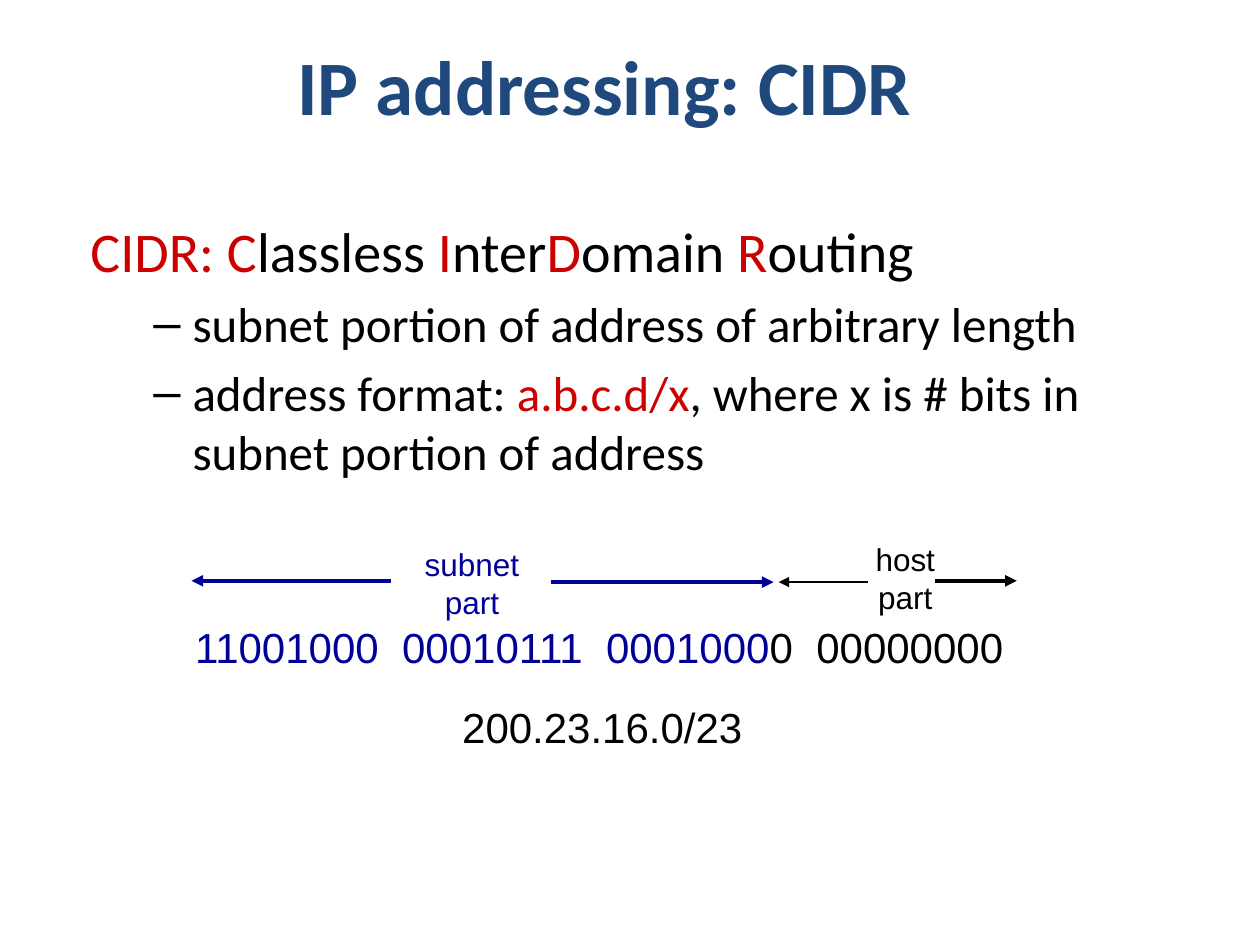
from lxml import etree
from pptx import Presentation
from pptx.dml.color import RGBColor
from pptx.enum.shapes import MSO_CONNECTOR
from pptx.enum.text import MSO_ANCHOR, PP_ALIGN
from pptx.oxml.ns import qn
from pptx.util import Inches, Pt

LEFT, CENTER = PP_ALIGN.LEFT, PP_ALIGN.CENTER
TOP, MIDDLE = MSO_ANCHOR.TOP, MSO_ANCHOR.MIDDLE
STRAIGHT = MSO_CONNECTOR.STRAIGHT
BLACK = RGBColor(0x00, 0x00, 0x00)
RED = RGBColor(0xCC, 0x00, 0x00)
BLUE = RGBColor(0x00, 0x00, 0x99)
NAVY = RGBColor(0x1F, 0x49, 0x7D)


def add_frame(slide, box, wrap=False, anchor=TOP):
    """Add an empty text box and return its frame."""
    frame = slide.shapes.add_textbox(*map(Inches, box)).text_frame
    frame.word_wrap = wrap
    frame.vertical_anchor = anchor
    return frame


def add_runs(para, runs, size, font="Arial", bold=False):
    """Add coloured runs to a paragraph."""
    for text, color in runs:
        run = para.add_run()
        run.text = text
        run.font.name = font
        run.font.size = Pt(size)
        run.font.bold = bold
        run.font.color.rgb = color


def add_label(slide, box, lines, size, align=LEFT):
    """Add an unwrapped label, one paragraph for each list of runs."""
    frame = add_frame(slide, box)
    for i, runs in enumerate(lines):
        para = frame.add_paragraph() if i else frame.paragraphs[0]
        para.alignment = align
        add_runs(para, runs, size)


def set_indent(para, margin, hang, bullet=None):
    """Set a hanging indent and, if given, a bullet sign."""
    props = para._p.get_or_add_pPr()
    props.set("marL", str(Inches(margin)))
    props.set("indent", str(-Inches(hang)))
    if bullet:
        font = etree.SubElement(props, qn("a:buFont"))
        font.set("typeface", "Arial")
        etree.SubElement(props, qn("a:buChar")).set("char", bullet)


def add_title(slide):
    """Add the slide heading."""
    para = add_frame(slide, (0.55, 0.21, 8.5, 0.93), True, MIDDLE).paragraphs[0]
    para.alignment = CENTER
    add_runs(para, [("IP addressing: CIDR", NAVY)], 44, "Calibri", True)


def add_body(slide):
    """Add the definition and its bulleted points."""
    frame = add_frame(slide, (0.62, 1.67, 8.87, 3.47), True)
    head = frame.paragraphs[0]
    head.space_before = Pt(6.4)
    set_indent(head, 0.38, 0.38)
    add_runs(head, [
        ("CIDR: C", RED), ("lassless ", BLACK), ("I", RED), ("nter", BLACK),
        ("D", RED), ("omain ", BLACK), ("R", RED), ("outing", BLACK),
    ], 32, "Calibri")
    points = [
        [("subnet portion of address of arbitrary length", BLACK)],
        [("address format: ", BLACK), ("a.b.c.d/x", RED),
         (", where x is # bits in subnet portion of address", BLACK)],
    ]
    for runs in points:
        para = frame.add_paragraph()
        para.level = 1
        para.space_before = Pt(5.6)
        set_indent(para, 0.81, 0.31, "–")
        add_runs(para, runs, 28, "Calibri")


def add_arrow(slide, start, end, y, color, width=2.25):
    """Add a level arrow pointing from start to end."""
    ends = map(Inches, (start, y, end, y))
    arrow = slide.shapes.add_connector(STRAIGHT, *ends)
    arrow.line.color.rgb = color
    arrow.line.width = Pt(width)
    tail = etree.SubElement(arrow.line._get_or_add_ln(), qn("a:tailEnd"))
    tail.set("type", "triangle")
    etree.SubElement(arrow._element.spPr, qn("a:effectLst"))


def add_diagram(slide):
    """Add the address bits with their subnet and host parts."""
    add_label(slide, (1.45, 4.88, 6.7, 0.5), [
        [("11001000  00010111  0001000", BLUE), ("0  00000000", BLACK)],
    ], 24)
    add_label(slide, (3.27, 4.28, 0.95, 0.7),
              [[("subnet", BLUE)], [("part", BLUE)]], 18, CENTER)
    add_label(slide, (6.85, 4.24, 0.67, 0.7),
              [[("host", BLACK)], [("part", BLACK)]], 18, CENTER)
    add_label(slide, (3.57, 5.52, 2.43, 0.5), [[("200.23.16.0/23", BLACK)]], 24)
    add_arrow(slide, 3.1, 1.52, 4.61, BLUE)
    add_arrow(slide, 4.37, 6.14, 4.62, BLUE)
    add_arrow(slide, 6.89, 6.18, 4.62, BLACK, 1.5)
    add_arrow(slide, 7.42, 8.07, 4.61, BLACK)


def main():
    """Build and save the slide."""
    deck = Presentation()
    deck.slide_width, deck.slide_height = Inches(10), Inches(7.5)
    slide = deck.slides.add_slide(deck.slide_layouts[6])
    add_title(slide)
    add_body(slide)
    add_diagram(slide)
    deck.save("out.pptx")


if __name__ == "__main__":
    main()
